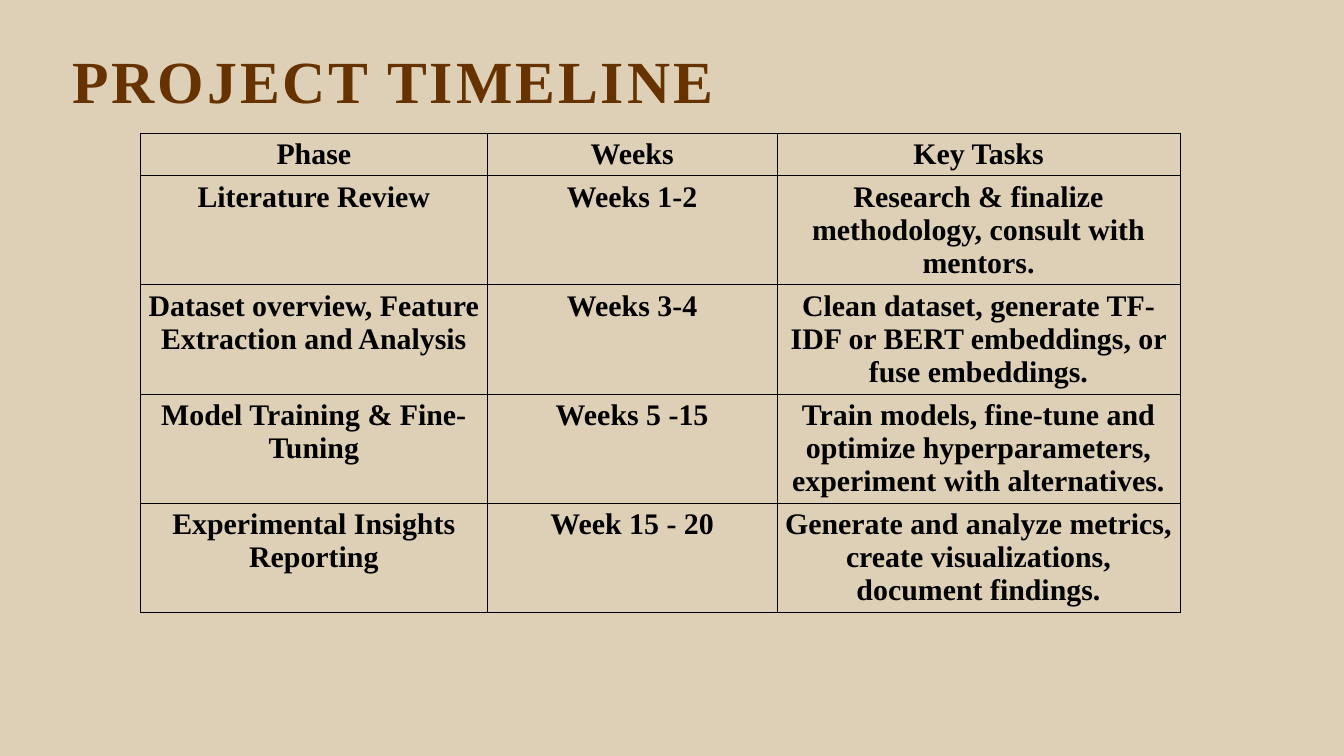
from dataclasses import dataclass

from lxml.etree import SubElement
from pptx import Presentation
from pptx.dml.color import RGBColor as RGB
from pptx.enum.text import MSO_AUTO_SIZE as AutoSize, PP_ALIGN as Align
from pptx.oxml.ns import qn
from pptx.util import Cm, Pt


@dataclass(frozen=True)
class Theme:
    font: str = "Times New Roman"
    background: str = "DED0B6"
    title: str = "663300"
    ink: str = "000000"
    title_size: int = 64
    cell_size: int = 32


THEME = Theme()
COLUMN_WIDTHS = (13.11, 10.95, 15.24)
HEADER_HEIGHT, PHASE_HEIGHT = 1.6, 4.12
TIMELINE = (
    ("Phase", "Weeks", "Key Tasks"),
    ("Literature Review", "Weeks 1-2",
     "Research & finalize methodology, consult with mentors."),
    ("Dataset overview, Feature Extraction and Analysis", "Weeks 3-4",
     "Clean dataset, generate TF-IDF or BERT embeddings, or fuse embeddings."),
    ("Model Training & Fine-Tuning", "Weeks 5 -15",
     "Train models, fine-tune and optimize hyperparameters, experiment with alternatives."),
    ("Experimental Insights Reporting", "Week 15 - 20",
     "Generate and analyze metrics, create visualizations, document findings."),
)


def style_run(r, size, color):
    r.font.name = THEME.font
    r.font.size = Pt(size)
    r.font.bold = True
    r.font.color.rgb = RGB.from_string(color)


def add_title(s, text):
    tf = s.shapes.add_textbox(Cm(2.74), Cm(1.42), Cm(25.58), Cm(2.74)).text_frame
    tf.margin_left = tf.margin_right = tf.margin_top = tf.margin_bottom = 0
    tf.word_wrap = True
    tf.auto_size = AutoSize.SHAPE_TO_FIT_TEXT
    tf.text = text
    p = tf.paragraphs[0]
    p.line_spacing = Pt(83.2)
    r = p.runs[0]
    style_run(r, THEME.title_size, THEME.title)
    r.font._element.set("spc", "320")


def add_borders(cell):
    tc_pr = cell._tc.get_or_add_tcPr()
    for side in ("lnL", "lnR", "lnT", "lnB"):
        ln = SubElement(tc_pr, qn(f"a:{side}"), w=str(Pt(1)))
        fill = SubElement(ln, qn("a:solidFill"))
        SubElement(fill, qn("a:srgbClr"), val=THEME.ink)


def fill_cell(cell, text):
    cell.margin_left = cell.margin_right = Cm(0.18)
    cell.margin_top = cell.margin_bottom = Cm(0.18)
    add_borders(cell)
    cell.fill.background()
    cell.text_frame.text = text
    p = cell.text_frame.paragraphs[0]
    p.alignment = Align.CENTER
    style_run(p.runs[0], THEME.cell_size, THEME.ink)


def add_timeline(s, rows):
    heights = [HEADER_HEIGHT] + [PHASE_HEIGHT] * (len(rows) - 1)
    table = s.shapes.add_table(
        len(rows), len(COLUMN_WIDTHS), Cm(5.31), Cm(5.03),
        Cm(sum(COLUMN_WIDTHS)), Cm(sum(heights))).table
    table.first_row = table.horz_banding = False
    for column, width in zip(table.columns, COLUMN_WIDTHS):
        column.width = Cm(width)
    for row, height, texts in zip(table.rows, heights, rows):
        row.height = Cm(height)
        for cell, text in zip(row.cells, texts):
            fill_cell(cell, text)


def main():
    prs = Presentation()
    prs.slide_width, prs.slide_height = Cm(50.8), Cm(28.58)
    s = prs.slides.add_slide(prs.slide_layouts[6])
    s.background.fill.solid()
    s.background.fill.fore_color.rgb = RGB.from_string(THEME.background)
    add_timeline(s, TIMELINE)
    add_title(s, "PROJECT TIMELINE")
    prs.save("out.pptx")


if __name__ == "__main__":
    main()
